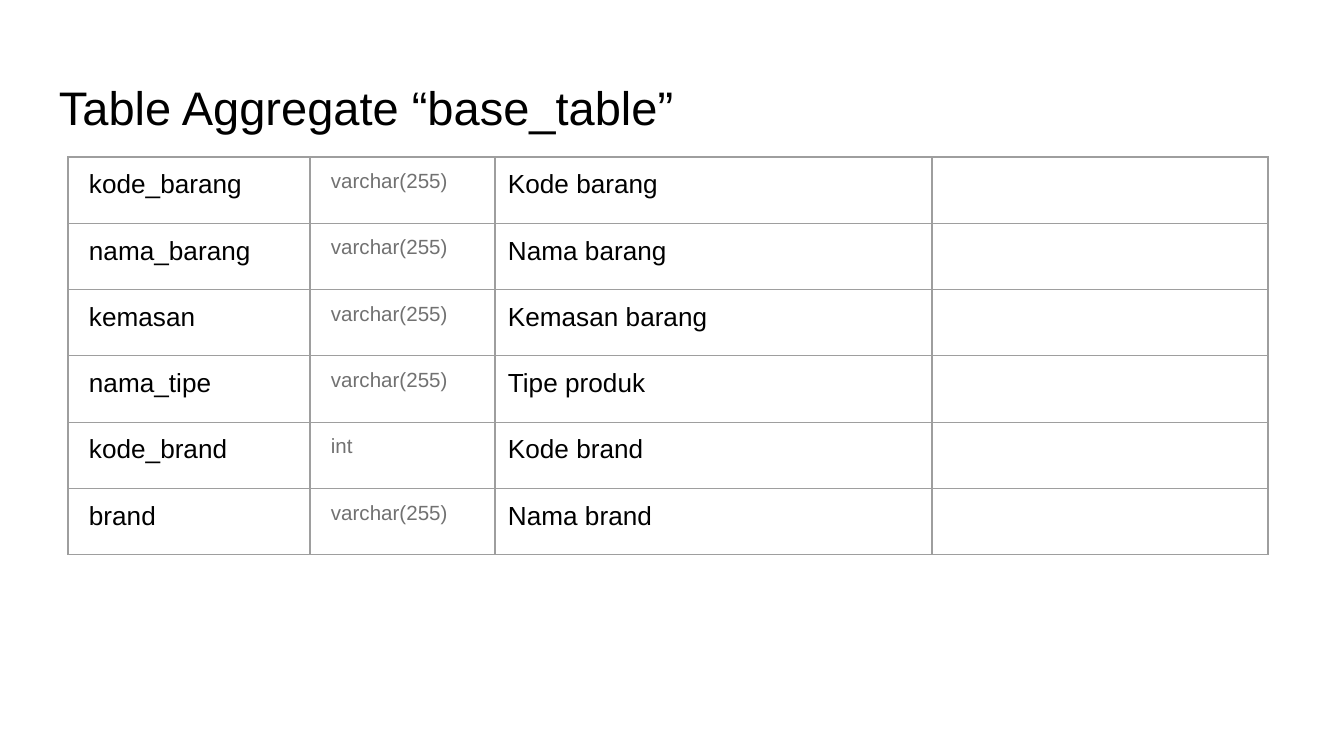
import dataclasses

import pptx
import pptx.dml.color
import pptx.enum.text
import pptx.oxml.ns
import pptx.util
import lxml.etree

EMU_PER_PX = 914400 / 134.4


@dataclasses.dataclass(frozen=True)
class Theme:
    font: str = "Arial"
    ink: str = "000000"
    muted: str = "717171"
    rule: str = "9E9E9E"
    rule_width: float = 0.75
    title_size: float = 25.2
    body_size: float = 14
    type_size: float = 11
    empty_size: float = 18


THEME = Theme()
PADDING = 13
INDENT = 21

COLUMN_WIDTHS = (242, 185, 437, 336)
COLUMN_STYLES = (
    (INDENT, THEME.body_size, THEME.ink),
    (INDENT, THEME.type_size, THEME.muted),
    (PADDING, THEME.body_size, THEME.ink),
    (PADDING, THEME.empty_size, THEME.ink),
)
FIELDS = (
    ("kode_barang", "varchar(255)", "Kode barang", ""),
    ("nama_barang", "varchar(255)", "Nama barang", ""),
    ("kemasan", "varchar(255)", "Kemasan barang", ""),
    ("nama_tipe", "varchar(255)", "Tipe produk", ""),
    ("kode_brand", "int", "Kode brand", ""),
    ("brand", "varchar(255)", "Nama brand", ""),
)


def px(length):
    return pptx.util.Emu(round(length * EMU_PER_PX))


def set_margins(holder, left):
    holder.margin_left = px(left)
    holder.margin_top = holder.margin_right = holder.margin_bottom = px(PADDING)


def write(frame, text, size, color):
    frame.text = text
    para = frame.paragraphs[0]
    for font in [para.font] + [span.font for span in para.runs]:
        font.name = THEME.font
        font.size = pptx.util.Pt(size)
        font.color.rgb = pptx.dml.color.RGBColor.from_string(color)


def add_title(page, text, left, top, width, height):
    box = page.shapes.add_textbox(px(left), px(top), px(width), px(height))
    frame = box.text_frame
    frame.word_wrap = True
    frame.vertical_anchor = pptx.enum.text.MSO_ANCHOR.TOP
    set_margins(frame, PADDING)
    write(frame, text, THEME.title_size, THEME.ink)


def add_borders(cell):
    qn = pptx.oxml.ns.qn
    properties = cell._tc.get_or_add_tcPr()
    for side in ("a:lnL", "a:lnR", "a:lnT", "a:lnB"):
        line = lxml.etree.SubElement(properties, qn(side))
        line.set("w", str(pptx.util.Pt(THEME.rule_width)))
        fill = lxml.etree.SubElement(line, qn("a:solidFill"))
        lxml.etree.SubElement(fill, qn("a:srgbClr")).set("val", THEME.rule)


def format_cell(cell, text, indent, size, color):
    add_borders(cell)
    cell.fill.background()
    set_margins(cell, indent)
    write(cell.text_frame, text, size, color)


def add_field_table(page, left, top, row_height):
    frame = page.shapes.add_table(
        len(FIELDS), len(COLUMN_WIDTHS), px(left), px(top),
        px(sum(COLUMN_WIDTHS)), px(row_height * len(FIELDS)))
    table = frame.table
    table.first_row = table.horz_banding = False
    for column, width in zip(table.columns, COLUMN_WIDTHS):
        column.width = px(width)
    for row, field in zip(table.rows, FIELDS):
        row.height = px(row_height)
        for cell, text, style in zip(row.cells, field, COLUMN_STYLES):
            format_cell(cell, text, *style)


def main():
    deck = pptx.Presentation()
    deck.slide_width, deck.slide_height = px(1344), px(756)
    page = deck.slides.add_slide(deck.slide_layouts[6])
    add_title(page, "Table Aggregate “base_table”", 46, 66, 1253, 85)
    add_field_table(page, 68, 157, 64)
    deck.save("out.pptx")


if __name__ == "__main__":
    main()
